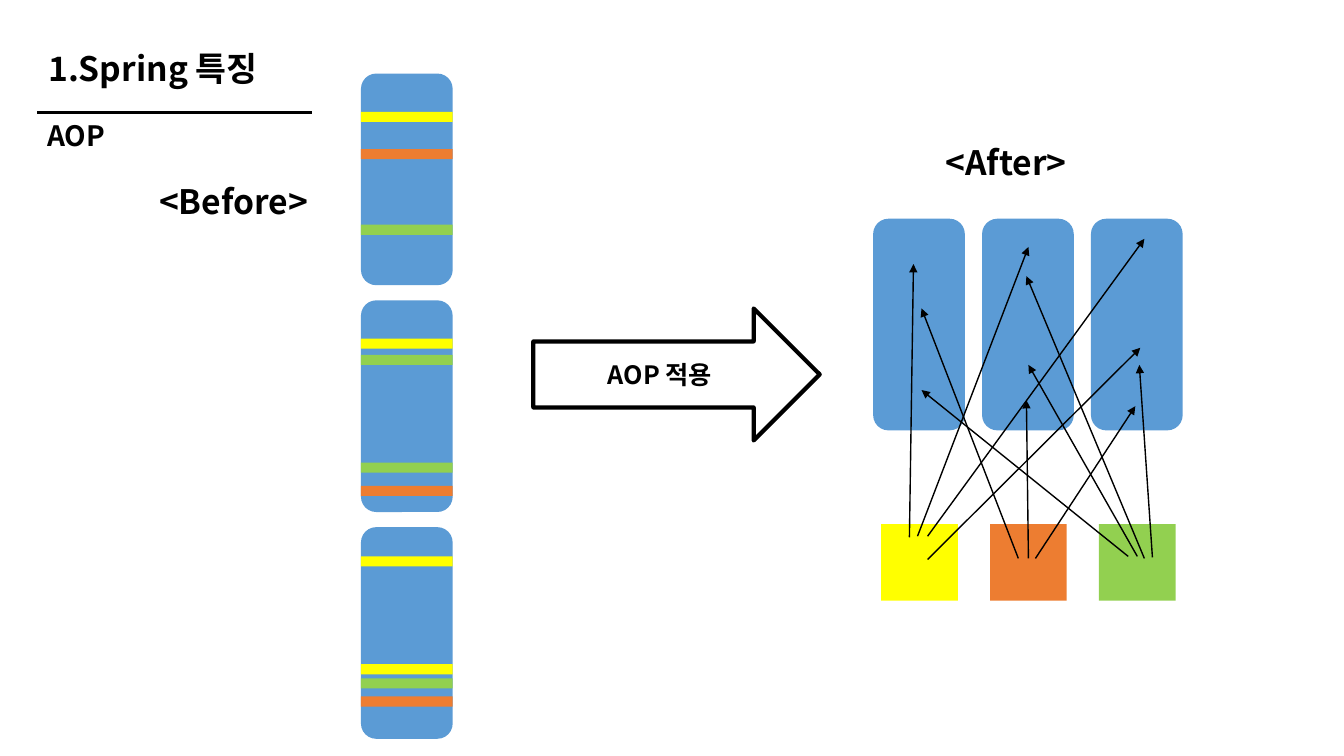
from lxml import etree
from pptx import Presentation
from pptx.dml.color import RGBColor
from pptx.enum import shapes, text
from pptx.oxml import ns
from pptx.util import Inches, Pt

FONT = "Noto Sans CJK KR"
BLACK = RGBColor(0x00, 0x00, 0x00)
WHITE = RGBColor(0xFF, 0xFF, 0xFF)
BLUE = RGBColor(0x5B, 0x9B, 0xD5)
YELLOW = RGBColor(0xFF, 0xFF, 0x00)
ORANGE = RGBColor(0xED, 0x7D, 0x31)
GREEN = RGBColor(0x92, 0xD0, 0x50)

MODULE_W, MODULE_H = 0.91, 2.1
STRIPE_H = 0.1
BEFORE_STEP = 2.25
AFTER_STEP = 1.08
ASPECT_SIZE = 0.76
ASPECT_OFFSET = (0.08, 3.03)

BEFORE_STRIPES = [
    [(YELLOW, 0.38), (ORANGE, 0.75), (GREEN, 1.5)],
    [(YELLOW, 0.38), (ORANGE, 1.84), (GREEN, 0.54), (GREEN, 1.61)],
    [(YELLOW, 1.36), (ORANGE, 1.68), (GREEN, 1.5), (YELLOW, 0.29)],
]
AFTER_ARROWS = [
    (0.36, 3.16, 0.4, 0.45),
    (0.44, 3.15, 1.54, 0.28),
    (0.54, 3.15, 2.69, 0.2),
    (0.54, 3.38, 2.65, 1.28),
    (1.44, 3.37, 0.48, 0.89),
    (1.54, 3.37, 1.52, 1.8),
    (1.61, 3.37, 2.6, 1.86),
    (2.53, 3.35, 0.48, 1.7),
    (2.62, 3.35, 1.54, 1.45),
    (2.69, 3.37, 1.52, 0.57),
    (2.77, 3.36, 2.64, 1.45),
]


def write(tf, words, size, anchor, **para_format):
    """Put one bold paragraph into a text frame."""
    tf.word_wrap = True
    tf.vertical_anchor = anchor
    p = tf.paragraphs[0]
    for name, value in para_format.items():
        setattr(p, name, value)
    r = p.add_run()
    r.text = words
    for name, value in {"name": FONT, "size": Pt(size), "bold": True}.items():
        setattr(r.font, name, value)
    r.font.color.rgb = BLACK
    ea = etree.SubElement(r.font._element, ns.qn("a:ea"))
    ea.set("typeface", FONT)


def add_label(s, box, words, size, anchor, space_before=0):
    """Add a text box holding one heading."""
    tf = s.shapes.add_textbox(*map(Inches, box)).text_frame
    write(tf, words, size, anchor, line_spacing=0.9, space_before=Pt(space_before))


def add_block(s, kind, box, color):
    """Add a flat filled shape without outline or shadow."""
    sp = s.shapes.add_shape(kind, *map(Inches, box))
    sp.shadow.inherit = False
    sp.fill.solid()
    sp.fill.fore_color.rgb = color
    sp.line.fill.background()
    return sp


def add_line(s, ends, width, arrow=False):
    """Add a straight black line, optionally with an arrowhead at its end."""
    cx = s.shapes.add_connector(shapes.MSO_CONNECTOR.STRAIGHT, *map(Inches, ends))
    cx.line.color.rgb = BLACK
    cx.line.width = Pt(width)
    if arrow:
        tail = etree.SubElement(cx.line._get_or_add_ln(), ns.qn("a:tailEnd"))
        tail.set("type", "triangle")
    etree.SubElement(cx._element.spPr, ns.qn("a:effectLst"))


def add_header(s, left, top):
    """Draw the title, its rule and the subtitle."""
    middle = text.MSO_ANCHOR.MIDDLE
    add_label(s, (left + 0.01, top, 4.35, 0.79), "1.Spring 특징", 24, middle)
    add_line(s, (left, top + 0.81, left + 2.72, top + 0.81), 2.25)
    add_label(s, (left, top + 0.82, 3.54, 0.47), "AOP", 20, middle)


def add_before(s, left, top):
    """Draw the stacked modules with concerns scattered through them."""
    for i, stripes in enumerate(BEFORE_STRIPES):
        y = top + i * BEFORE_STEP
        add_block(s, shapes.MSO_SHAPE.ROUNDED_RECTANGLE, (left, y, MODULE_W, MODULE_H), BLUE)
        for color, dy in stripes:
            add_block(s, shapes.MSO_SHAPE.RECTANGLE, (left, y + dy, MODULE_W, STRIPE_H), color)
    add_label(s, (left - 2.1, top + 1.06, 1.84, 4.76), "<Before>", 24, text.MSO_ANCHOR.TOP, 10)


def add_transition(s, left, top, width, height):
    """Draw the block arrow between the two states."""
    sp = add_block(s, shapes.MSO_SHAPE.RIGHT_ARROW, (left, top, width, height), WHITE)
    sp.line.color.rgb = BLACK
    sp.line.width = Pt(3)
    write(sp.text_frame, "AOP 적용", 18, text.MSO_ANCHOR.MIDDLE, alignment=text.PP_ALIGN.CENTER)


def add_after(s, left, top):
    """Draw clean modules, separate aspects and the arrows joining them."""
    dx, dy = ASPECT_OFFSET
    for i, color in enumerate((YELLOW, ORANGE, GREEN)):
        x = left + i * AFTER_STEP
        add_block(s, shapes.MSO_SHAPE.ROUNDED_RECTANGLE, (x, top, MODULE_W, MODULE_H), BLUE)
        aspect = (x + dx, top + dy, ASPECT_SIZE, ASPECT_SIZE)
        add_block(s, shapes.MSO_SHAPE.RECTANGLE, aspect, color)
    add_label(s, (left + 0.62, top - 0.77, 1.84, 4.76), "<After>", 24, text.MSO_ANCHOR.TOP, 10)
    for x1, y1, x2, y2 in AFTER_ARROWS:
        add_line(s, (left + x1, top + y1, left + x2, top + y2), 1, arrow=True)


def main():
    """Build and save the slide."""
    prs = Presentation()
    prs.slide_width, prs.slide_height = Inches(13.33), Inches(7.5)
    s = prs.slides.add_slide(prs.slide_layouts[6])
    add_header(s, 0.37, 0.31)
    add_before(s, 3.58, 0.73)
    add_transition(s, 5.29, 3.06, 2.84, 1.31)
    add_after(s, 8.66, 2.17)
    prs.save("out.pptx")


if __name__ == "__main__":
    main()
